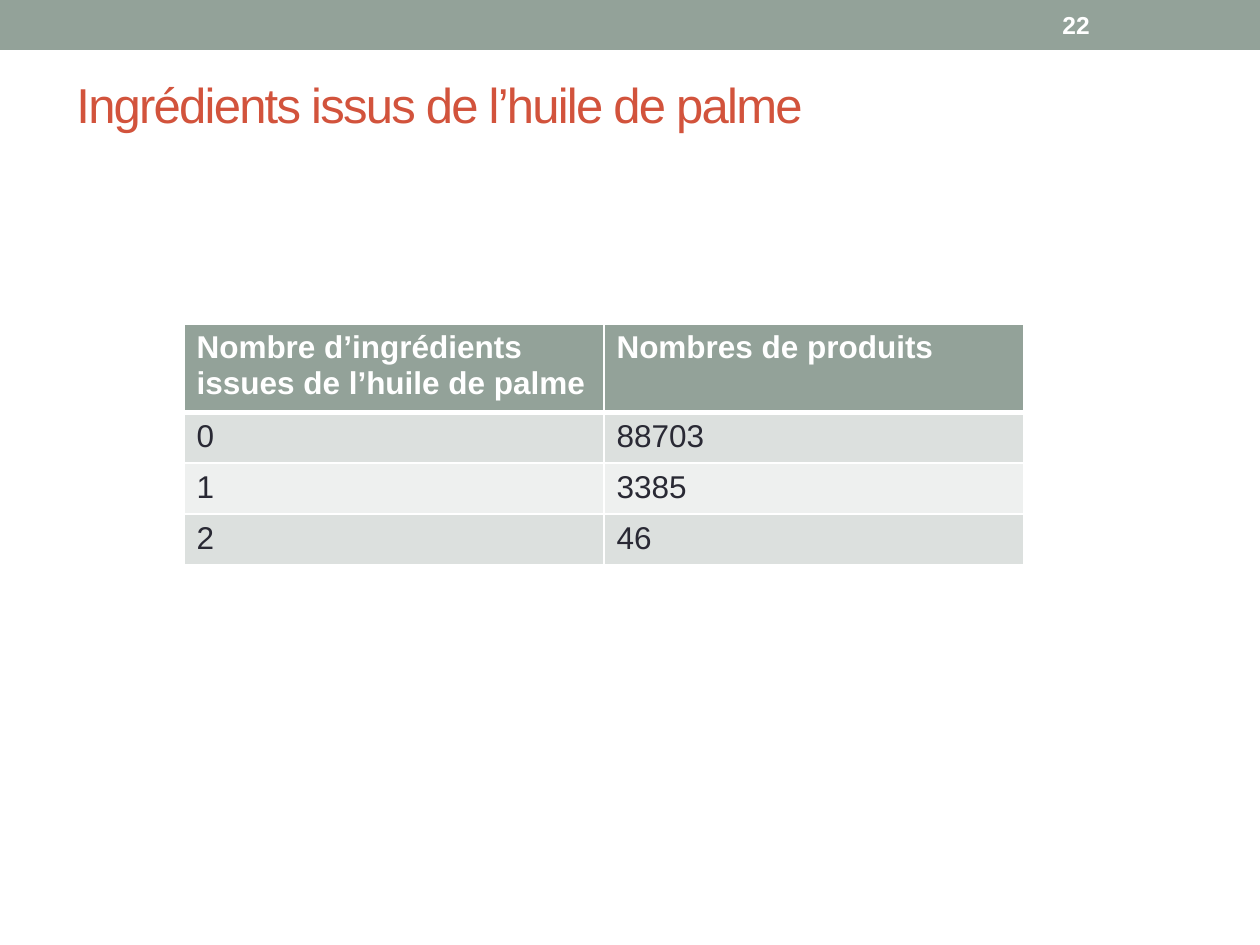
from lxml import etree
from pptx import Presentation
from pptx.dml.color import RGBColor
from pptx.enum.shapes import MSO_SHAPE
from pptx.enum.text import MSO_ANCHOR
from pptx.oxml.ns import qn
from pptx.util import Pt

RECT = MSO_SHAPE.RECTANGLE
MIDDLE, BOTTOM = MSO_ANCHOR.MIDDLE, MSO_ANCHOR.BOTTOM
SAGE = RGBColor(0x93, 0xA2, 0x99)
RED = RGBColor(0xD2, 0x53, 0x3C)
INK = RGBColor(0x29, 0x29, 0x34)
WHITE = RGBColor(0xFF, 0xFF, 0xFF)
BAND_DARK = RGBColor(0xDC, 0xE0, 0xDE)
BAND_LIGHT = RGBColor(0xEE, 0xF0, 0xEF)

ROWS = [
    ("Nombre d’ingrédients issues de l’huile de palme", "Nombres de produits"),
    ("0", "88703"),
    ("1", "3385"),
    ("2", "46"),
]


def px(n):
    return round(n * 914400 / 126)


def style_text(tf, text, size, color, bold=False):
    tf.text = text
    r = tf.paragraphs[0].runs[0]
    r.font.name = "Arial"
    r.font.size = Pt(size)
    r.font.bold = bold
    r.font.color.rgb = color
    return r


def add_text(s, x, y, w, h, text, size, color, anchor, bold=False):
    tf = s.shapes.add_textbox(px(x), px(y), px(w), px(h)).text_frame
    tf.word_wrap = True
    tf.vertical_anchor = anchor
    return style_text(tf, text, size, color, bold)


def add_banner(s, x, y, w, h):
    sp = s.shapes.add_shape(RECT, px(x), px(y), px(w), px(h))
    sp.shadow.inherit = False
    sp.fill.solid()
    sp.fill.fore_color.rgb = SAGE
    sp.line.fill.background()
    add_text(s, x + 1050, y + 2, 147, 46, "22", 14, WHITE, MIDDLE, True)


def add_title(s, x, y, w, h):
    r = add_text(s, x, y, w, h, "Ingrédients issus de l’huile de palme", 28, RED, BOTTOM)
    r.font._element.set("spc", "-100")


def set_borders(cell, widths):
    tc_pr = cell._tc.get_or_add_tcPr()
    for i, (side, width) in enumerate(widths.items()):
        ln = etree.Element(qn("a:" + side), w=str(Pt(width)))
        fill = etree.SubElement(ln, qn("a:solidFill"))
        etree.SubElement(fill, qn("a:srgbClr"), val=str(WHITE))
        tc_pr.insert(i, ln)


def add_product_table(s, x, y, w, header_h, row_h):
    h = header_h + row_h * (len(ROWS) - 1)
    table = s.shapes.add_table(len(ROWS), 2, px(x), px(y), px(w), px(h)).table
    for i, values in enumerate(ROWS):
        header = i == 0
        table.rows[i].height = px(header_h if header else row_h)
        band = SAGE if header else BAND_DARK if i % 2 else BAND_LIGHT
        for j, text in enumerate(values):
            cell = table.cell(i, j)
            cell.fill.solid()
            cell.fill.fore_color.rgb = band
            style_text(cell.text_frame, text, 18, WHITE if header else INK, header)
            set_borders(cell, {"lnL": 1, "lnR": 1,
                               "lnT": 3 if i == 1 else 1,
                               "lnB": 3 if header else 1})


def main():
    prs = Presentation()
    prs.slide_width, prs.slide_height = px(1260), px(945)
    s = prs.slides.add_slide(prs.slide_layouts[6])
    add_banner(s, 0, 0, 1260, 50)
    add_title(s, 64, -34, 903, 174)
    add_product_table(s, 184, 324, 840, 83, 51)
    prs.save("out.pptx")


if __name__ == "__main__":
    main()
